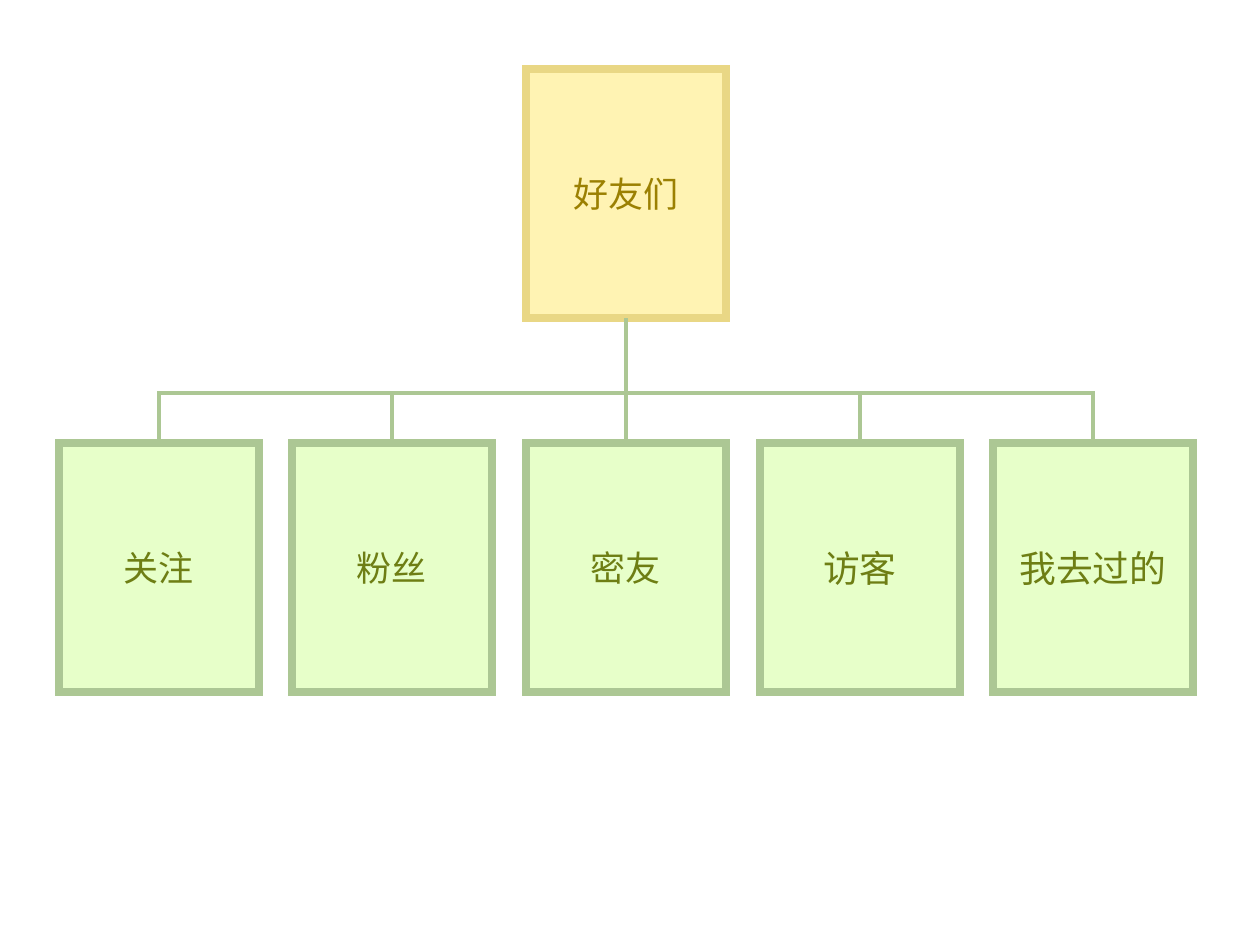
from lxml.etree import SubElement
from pptx import Presentation
from pptx.dml.color import RGBColor
from pptx.enum.shapes import MSO_CONNECTOR, MSO_SHAPE
from pptx.enum.text import MSO_ANCHOR, PP_ALIGN
from pptx.oxml.ns import qn
from pptx.util import Emu, Pt

THEME = {
    "font": "Arial",
    "root": {"fill": "FFE868", "line": "E9D785", "text": "9B8002"},
    "child": {"fill": "D0FF94", "line": "ACC794", "text": "6E7E14"},
    "border": 4.5,
    "connector": 2.25,
}
BOX_WIDTH, BOX_HEIGHT = 200, 249
ROOT_LEFT, ROOT_TOP = 526, 69
CHILD_LEFT, CHILD_TOP, CHILD_RIGHT = 59, 443, 993
CHILDREN = [("关注", 20), ("粉丝", 20), ("密友", 20), ("访客", 21), ("我去过的", 21)]


def px(length):
    return Emu(round(length * 914400 / 126))


def add_box(shapes, left, top, text, size, colors):
    box = shapes.add_shape(MSO_SHAPE.RECTANGLE, px(left), px(top), px(BOX_WIDTH), px(BOX_HEIGHT))
    box.shadow.inherit = False
    box.fill.solid()
    box.fill.fore_color.rgb = RGBColor.from_string(colors["fill"])
    fill_color = box._element.spPr.find(qn("a:solidFill")).find(qn("a:srgbClr"))
    SubElement(fill_color, qn("a:alpha"), val="50000")
    box.line.color.rgb = RGBColor.from_string(colors["line"])
    box.line.width = Pt(THEME["border"])
    SubElement(box._element.spPr.find(qn("a:ln")), qn("a:miter"), lim="800000")
    text_frame = box.text_frame
    text_frame.word_wrap = True
    text_frame.vertical_anchor = MSO_ANCHOR.MIDDLE
    text_frame.text = text
    paragraph = text_frame.paragraphs[0]
    paragraph.alignment = PP_ALIGN.CENTER
    font = paragraph.runs[0].font
    font.name = THEME["font"]
    font.size = Pt(size)
    font.color.rgb = RGBColor.from_string(colors["text"])


presentation = Presentation()
presentation.slide_width = px(1260)
presentation.slide_height = px(945)
slide = presentation.slides.add_slide(presentation.slide_layouts[6])
shapes = slide.shapes.add_group_shape().shapes

add_box(shapes, ROOT_LEFT, ROOT_TOP, "好友们", 20, THEME["root"])

root_x = ROOT_LEFT + BOX_WIDTH // 2
root_bottom = ROOT_TOP + BOX_HEIGHT
drop = CHILD_TOP - root_bottom
middle_y = (root_bottom + CHILD_TOP) / 2
step = (CHILD_RIGHT - CHILD_LEFT) / (len(CHILDREN) - 1)

for index, (label, size) in enumerate(CHILDREN):
    left = round(CHILD_LEFT + index * step)
    add_box(shapes, left, CHILD_TOP, label, size, THEME["child"])

    child_x = left + BOX_WIDTH // 2
    run = root_x - child_x
    if run == 0:
        connector = shapes.add_connector(
            MSO_CONNECTOR.STRAIGHT, px(child_x), px(CHILD_TOP), px(root_x), px(root_bottom))
    else:
        middle_x = (root_x + child_x) / 2
        connector = shapes.add_connector(
            MSO_CONNECTOR.ELBOW,
            px(middle_x - drop / 2), px(middle_y - run / 2),
            px(middle_x + drop / 2), px(middle_y + run / 2))
        properties = connector._element.spPr
        properties.find(qn("a:xfrm")).set("rot", "16200000")
        adjustments = properties.find(qn("a:prstGeom")).find(qn("a:avLst"))
        SubElement(adjustments, qn("a:gd"), name="adj1", fmla="val 40000")
    connector.line.color.rgb = RGBColor.from_string(THEME["child"]["line"])
    connector.line.width = Pt(THEME["connector"])
    SubElement(connector._element.spPr.find(qn("a:ln")), qn("a:miter"), lim="800000")
    SubElement(connector._element.spPr, qn("a:effectLst"))

presentation.save("out.pptx")
